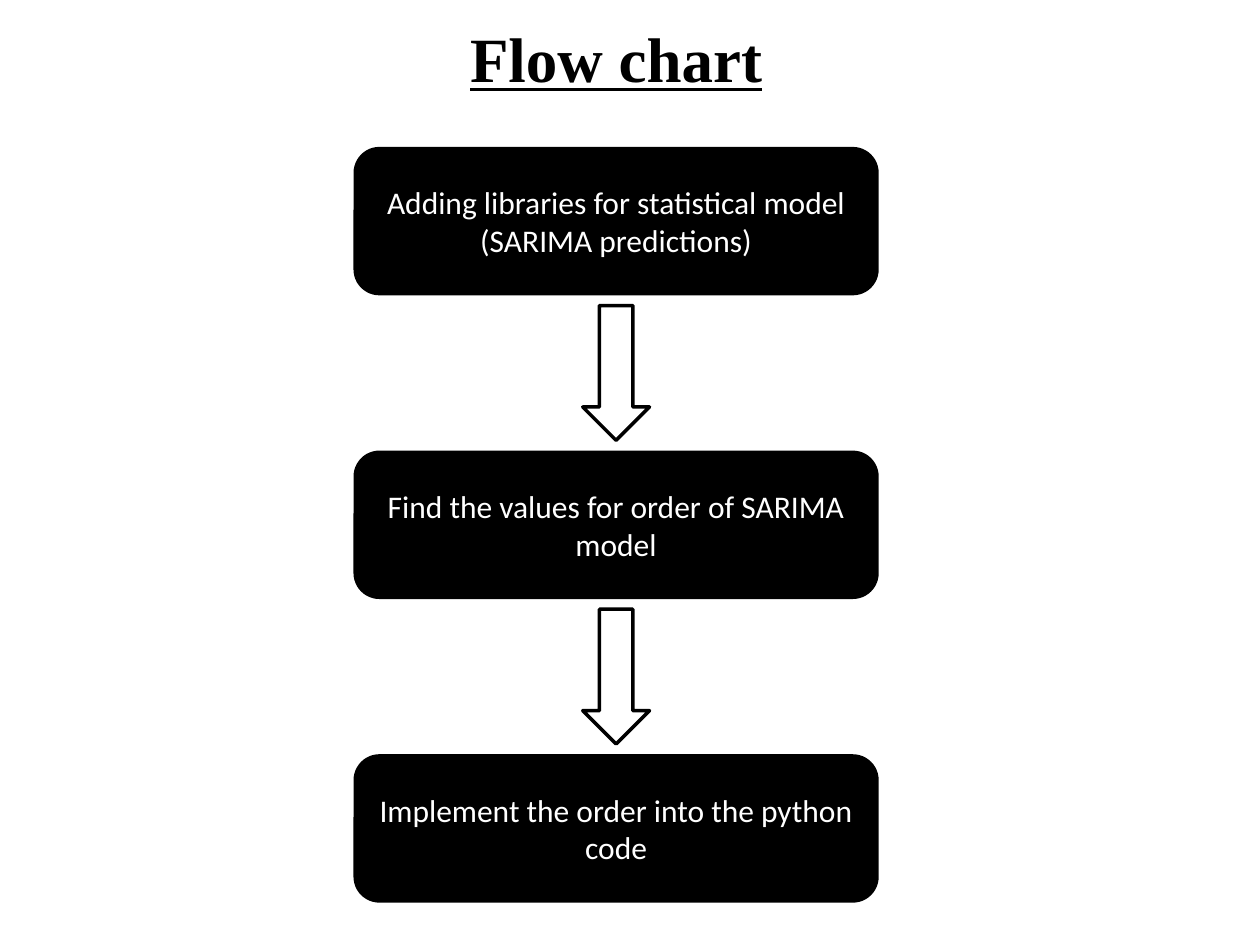
from dataclasses import dataclass

from pptx import Presentation
from pptx.dml.color import RGBColor
from pptx.enum.shapes import MSO_SHAPE
from pptx.enum.text import MSO_ANCHOR, PP_ALIGN
from pptx.util import Inches, Pt

ROUNDED = MSO_SHAPE.ROUNDED_RECTANGLE
DOWN_ARROW = MSO_SHAPE.DOWN_ARROW
MIDDLE = MSO_ANCHOR.MIDDLE
CENTER = PP_ALIGN.CENTER
TITLE_ONLY = 5
COLUMNS, ROWS = 100, 75


@dataclass(frozen=True)
class Theme:
    dark: RGBColor = RGBColor(0, 0, 0)
    light: RGBColor = RGBColor(255, 255, 255)
    title_font: str = "Times New Roman"
    body_font: str = "Calibri"
    title_size: int = 36
    body_size: int = 18
    line_width: int = 2


class FlowPage:
    def __init__(self, deck, theme):
        self.theme = theme
        self.column = deck.slide_width / COLUMNS
        self.row = deck.slide_height / ROWS
        self.page = deck.slides.add_slide(deck.slide_layouts[TITLE_ONLY])

    def place(self, left, top, width, height):
        return (round(left * self.column), round(top * self.row),
                round(width * self.column), round(height * self.row))

    def label(self, box, text, font_name, size, color):
        frame = box.text_frame
        frame.word_wrap = True
        frame.vertical_anchor = MIDDLE
        para = frame.paragraphs[0]
        para.text = text
        para.alignment = CENTER
        para.font.name = font_name
        para.font.size = Pt(size)
        para.font.color.rgb = color
        return para

    def title(self, text, *area):
        box = self.page.shapes.title
        box.left, box.top, box.width, box.height = self.place(*area)
        para = self.label(box, text, self.theme.title_font,
                          self.theme.title_size, self.theme.dark)
        para.font.bold = True
        para.font.underline = True

    def shape(self, kind, fill, *area):
        box = self.page.shapes.add_shape(kind, *self.place(*area))
        box.shadow.inherit = False
        box.fill.solid()
        box.fill.fore_color.rgb = fill
        box.line.color.rgb = self.theme.dark
        box.line.width = Pt(self.theme.line_width)
        return box

    def step(self, text, *area):
        box = self.shape(ROUNDED, self.theme.dark, *area)
        self.label(box, text, self.theme.body_font,
                   self.theme.body_size, self.theme.light)

    def arrow(self, *area):
        self.shape(DOWN_ARROW, self.theme.light, *area)


def main():
    deck = Presentation()
    deck.slide_width, deck.slide_height = Inches(10), Inches(7.5)
    flow = FlowPage(deck, Theme())
    flow.title("Flow chart", 3.9, -1.7, 90, 12.5)

    steps = [
        "Adding libraries for statistical model (SARIMA predictions)",
        "Find the values for order of SARIMA model",
        "Implement the order into the python code",
    ]
    first_top, pitch = 11.8, 24.1
    step_left, step_width, step_height = 28.2, 41.4, 11.5
    arrow_width, arrow_height = 5.3, 10.7
    arrow_left = step_left + (step_width - arrow_width) / 2
    arrow_offset = step_height + (pitch - step_height - arrow_height) / 2

    for index, text in enumerate(steps):
        top = first_top + index * pitch
        flow.step(text, step_left, top, step_width, step_height)
        if index < len(steps) - 1:
            flow.arrow(arrow_left, top + arrow_offset, arrow_width, arrow_height)

    deck.save("out.pptx")


if __name__ == "__main__":
    main()
